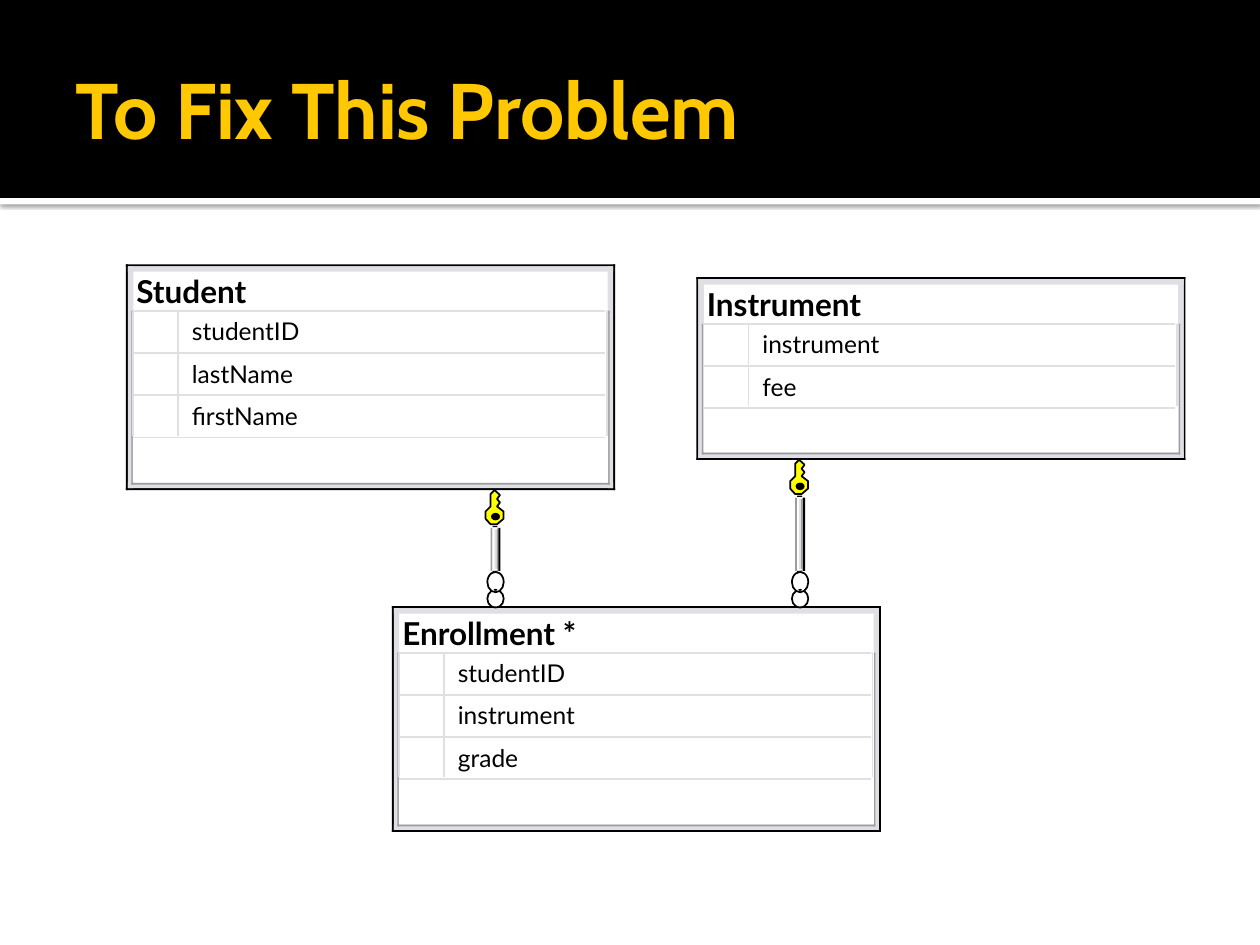
from lxml import etree
from pptx import Presentation, util as u
from pptx.dml.color import RGBColor
from pptx.enum import shapes, text
from pptx.oxml import ns

COLORS = {"black": "000000", "white": "FFFFFF", "gold": "FFC800",
          "frame": "E0DFE3", "shade": "9D9DA1", "key": "FFFF00"}
TITLE = "To Fix This Problem"
ENTITIES = [
    {"name": "Enrollment *", "at": (7.9, 12.22), "height": 4.55,
     "fields": ["studentID", "instrument", "grade"]},
    {"name": "Instrument", "at": (14.04, 5.59), "height": 3.68,
     "fields": ["instrument", "fee"]},
    {"name": "Student", "at": (2.54, 5.33), "height": 4.55,
     "fields": ["studentID", "lastName", "firstName"]},
]
LINKS = [{"center": 16.11, "top": 9.27}, {"center": 9.97, "top": 9.88}]
KEY_OUTLINE = [(0, 0), (-0.08, 0.08), (-0.08, 0.33), (-0.18, 0.43), (-0.18, 0.58),
               (-0.08, 0.69), (0.05, 0.69), (0.18, 0.58), (0.18, 0.43), (0.05, 0.33),
               (0.11, 0.25), (0.05, 0.18), (0.11, 0.1)]
ROD_STRIPES = ["shade", "white", "frame", "shade", "black"]
ENTITY_WIDTH, HEADER, ROW, KEY_COLUMN = 9.86, 0.94, 0.85, 1.05
ROD_BOTTOM = 11.51

presentation = Presentation()
presentation.slide_width, presentation.slide_height = u.Cm(25.4), u.Cm(19.05)
slide = presentation.slides.add_slide(presentation.slide_layouts[6])


def color(name):
    return RGBColor.from_string(COLORS[name])


def paint(shape, fill=None, line=None):
    shape.shadow.inherit = False
    if fill:
        shape.fill.solid()
        shape.fill.fore_color.rgb = color(fill)
    else:
        shape.fill.background()
    if line:
        shape.line.color.rgb = color(line)
        shape.line.width = u.Pt(1)
    else:
        shape.line.fill.background()
    return shape


def add_shape(left, top, width, height, fill=None, line=None,
              kind=shapes.MSO_SHAPE.RECTANGLE):
    box = [u.Cm(value) for value in (left, top, width, height)]
    return paint(slide.shapes.add_shape(kind, *box), fill, line)


def add_ellipse(center, top, width, height, fill=None, line=None):
    add_shape(center - width / 2, top, width, height, fill, line, shapes.MSO_SHAPE.OVAL)


def add_text(content, left, top, width, height, size, font="Lato", fill="black",
             bold=False, inset=0, wrap=False, anchor=text.MSO_ANCHOR.TOP):
    box = slide.shapes.add_textbox(*[u.Cm(value) for value in (left, top, width, height)])
    frame = box.text_frame
    frame.word_wrap = wrap
    frame.vertical_anchor = anchor
    frame.margin_left = frame.margin_right = u.Cm(inset)
    frame.margin_top = frame.margin_bottom = u.Cm(inset / 2)
    paragraph = frame.paragraphs[0]
    paragraph.text = content
    paragraph.font.size, paragraph.font.name = u.Pt(size), font
    paragraph.font.bold, paragraph.font.color.rgb = bold, color(fill)


def add_rule(*ends):
    rule = slide.shapes.add_connector(shapes.MSO_CONNECTOR.STRAIGHT,
                                      *[u.Cm(value) for value in ends])
    rule.line.color.rgb = color("frame")
    rule.line.width = u.Pt(1)
    etree.SubElement(rule._element.spPr, ns.qn("a:effectLst"))


def add_frame(left, top, right, bottom, thickness, fill):
    width, height = right - left, bottom - top
    add_shape(right - thickness, top, thickness, height, fill)
    add_shape(left, bottom - thickness, width, thickness, fill)
    add_shape(left, top, thickness, height, fill)
    add_shape(left, top, width, thickness, fill)


def add_header():
    stripe = add_shape(0, 3.99, 25.4, 0.13, "white")
    effects = stripe._element.spPr.find(ns.qn("a:effectLst"))
    shadow = etree.SubElement(effects, ns.qn("a:outerShdw"), blurRad="31750",
                              dist="10160", dir="5400000", rotWithShape="0")
    tone = etree.SubElement(shadow, ns.qn("a:srgbClr"), val=COLORS["black"])
    etree.SubElement(tone, ns.qn("a:alpha"), val="60000")
    add_shape(0, 0, 25.4, 3.99, "black")
    add_text(TITLE, 1.27, 0.43, 22.86, 3.48, size=45, font="Cabin", fill="gold",
             bold=True, inset=0.25, wrap=True, anchor=text.MSO_ANCHOR.MIDDLE)


def add_entity(name, at, height, fields):
    left, top = at
    right, bottom = left + ENTITY_WIDTH, top + height
    body = top + HEADER
    add_frame(left, top, right, bottom, 0.04, "black")
    add_frame(left + 0.04, top + 0.04, right - 0.04, bottom - 0.04, 0.11, "frame")
    add_text(name, left + 0.21, top + 0.15, 4, 0.76, size=18, bold=True)
    add_frame(left + 0.11, body, right - 0.11, bottom - 0.11, 0.04, "shade")
    add_shape(left + 0.14, body, 9.58, bottom - 0.15 - body, "white")
    for index, field in enumerate(fields):
        add_text(field, left + 1.33, body + index * ROW + 0.11, 2.7, 0.76, size=14)
    for index in range(len(fields) + 1):
        y = body + index * ROW
        add_rule(left + 0.14, y, left + 9.65, y)
    for offset in (0.14, KEY_COLUMN, 9.69):
        add_rule(left + offset, body, left + offset, body + len(fields) * ROW - 0.04)


def add_link(center, top):
    rod_top = top + 0.76
    for index, stripe in enumerate(ROD_STRIPES):
        add_shape(center - 0.08 + index * 0.04, rod_top, 0.04, ROD_BOTTOM - rod_top, stripe)
    for y, fill in ((rod_top, "white"), (rod_top - 0.04, "black"),
                    (ROD_BOTTOM - 0.04, "white"), (ROD_BOTTOM, "black")):
        add_shape(center - 0.04, y, 0.1, 0.03, fill)
    for y, height in ((11.89, 0.36), (11.53, 0.41)):
        for width, line in ((0.18, "white"), (0.33, "black")):
            add_ellipse(center + 0.02, y, width, height, line=line)
    points = [(u.Cm(center + x), u.Cm(top + y)) for x, y in KEY_OUTLINE]
    builder = slide.shapes.build_freeform(*points[0])
    builder.add_line_segments(points[1:], close=True)
    paint(builder.convert_to_shape(), "key", "black")
    add_ellipse(center + 0.02, top + 0.46, 0.18, 0.15, fill="black")


add_header()
for entity in ENTITIES:
    add_entity(**entity)
for link in LINKS:
    add_link(**link)
presentation.save("out.pptx")
